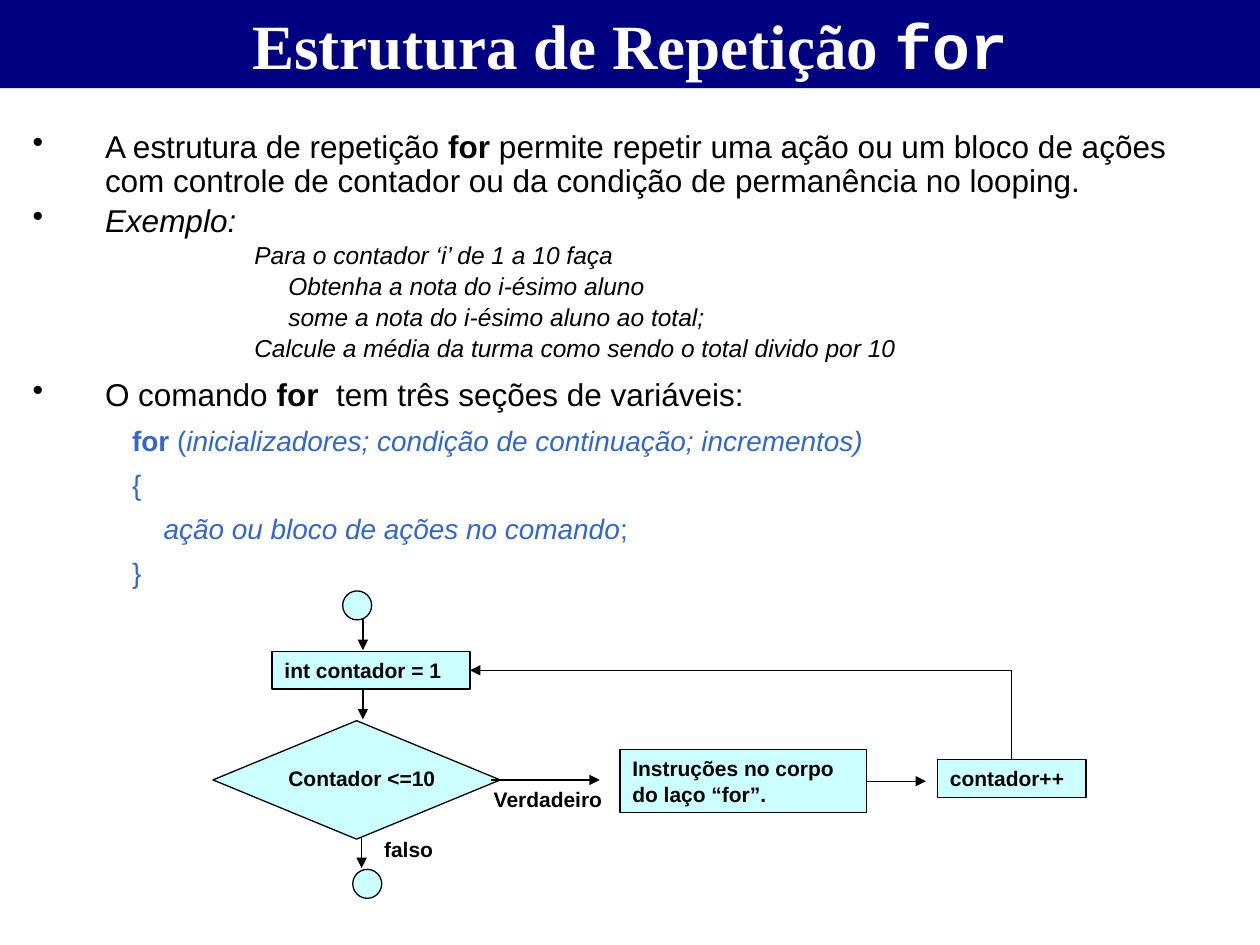
"""Build a slide on the for loop, with its syntax and a flow chart."""
from lxml.etree import SubElement
from pptx import Presentation
from pptx.dml.color import RGBColor
from pptx.enum.shapes import MSO_CONNECTOR, MSO_SHAPE
from pptx.enum.text import MSO_ANCHOR, PP_ALIGN
from pptx.oxml.ns import qn
from pptx.util import Inches, Pt

HUES = {"navy": "000080", "white": "FFFFFF", "black": "000000",
        "blue": "3366CC", "aqua": "CCFFFF"}


def write(para, text, size=12, face="Arial", hue="black", bold=False, slant=False):
    run = para.add_run()
    run.text = text
    font = run.font
    font.size, font.name, font.bold, font.italic = Pt(size), face, bold, slant
    font.color.rgb = RGBColor.from_string(HUES[hue])


def link(left, top, right, low, tip=True):
    line = slide.shapes.add_connector(
        MSO_CONNECTOR.STRAIGHT, Inches(left), Inches(top), Inches(right), Inches(low))
    line.line.width = Pt(0.75)
    line.line.color.rgb = RGBColor.from_string(HUES["black"])
    if tip:
        SubElement(line.get_or_add_ln(), qn("a:tailEnd"), type="triangle")
    SubElement(line.get_or_add_ln().getparent(), qn("a:effectLst"))
    return line


deck = Presentation()
deck.slide_width, deck.slide_height = Inches(10), Inches(7.5)
slide = deck.slides.add_slide(deck.slide_layouts[6])

band = slide.shapes.add_shape(MSO_SHAPE.RECTANGLE, 0, 0, Inches(10), Inches(0.7))
band.shadow.inherit = False
band.fill.solid()
band.fill.fore_color.rgb = RGBColor.from_string(HUES["navy"])
band.line.fill.background()
band.text_frame.vertical_anchor = MSO_ANCHOR.TOP
head = band.text_frame.paragraphs[0]
head.alignment = PP_ALIGN.CENTER
for text, face in [("Estrutura de Repetição ", "Times New Roman"), ("for", "Courier New")]:
    write(head, text, size=36, face=face, hue="white", bold=True)

kinds = {
    "point": {"size": 18},
    "step": {"size": 14, "slant": True},
    "code": {"size": 16, "hue": "blue"},
}
bold, slant = {"bold": True}, {"slant": True}
rows = [
    ("point", 0.575, 0, [
        ("A estrutura de repetição ", {}), ("for ", bold),
        ("permite repetir uma ação ou um bloco de ações com controle de contador "
         "ou da condição de permanência no looping.", {})]),
    ("point", 0.575, 3.4, [("Exemplo:", slant)]),
    ("step", 1.76, 2.6, [("Para o contador ‘i’ de 1 a 10 faça", {})]),
    ("step", 2.03, 2.6, [("Obtenha a nota do i-ésimo aluno", {})]),
    ("step", 2.03, 2.6, [("some a nota do i-ésimo aluno ao total;", {})]),
    ("step", 1.76, 2.6, [("Calcule a média da turma como sendo o total divido por 10", {})]),
    ("point", 0.575, 9, [
        ("O comando ", {}), ("for", bold), ("  tem três seções de variáveis:", {})]),
    ("code", 0.79, 8, [
        ("for", bold), (" (", {}),
        ("inicializadores; condição de continuação; incrementos)", slant)]),
    ("code", 0.79, 8, [("{", {})]),
    ("code", 1.04, 8, [("ação ou bloco de ações no comando", slant), (";", {})]),
    ("code", 0.79, 8, [("}", {})]),
]
frame = slide.shapes.add_textbox(
    Inches(0.16), Inches(0.99), Inches(9.48), Inches(3.86)).text_frame
frame.word_wrap = True
for rank, (kind, inset, gap, runs) in enumerate(rows):
    para = frame.paragraphs[0] if rank == 0 else frame.add_paragraph()
    para.line_spacing, para.space_before = 0.9, Pt(gap)
    props = para._p.get_or_add_pPr()
    props.set("marL", str(Inches(inset)))
    if kind == "point":
        props.set("indent", str(-Inches(inset)))
        SubElement(props, qn("a:buChar"), char="•")
    for text, style in runs:
        write(para, text, **{**kinds[kind], **style})

for ends in [(2.88, 4.77, 2.88, 5.16), (2.88, 5.47, 2.88, 5.71),
             (2.87, 6.51, 2.87, 6.89)]:
    link(*ends)

ring, box = MSO_SHAPE.FLOWCHART_CONNECTOR, MSO_SHAPE.RECTANGLE
nodes = {}
for name, form, left, top, width, height, lines in [
    ("start", ring, 2.72, 4.69, 0.23, 0.23, []),
    ("stop", ring, 2.8, 6.9, 0.23, 0.23, []),
    ("init", box, 2.16, 5.17, 1.57, 0.3, ["int contador = 1"]),
    ("test", MSO_SHAPE.FLOWCHART_DECISION, 1.69, 5.72, 2.28, 0.94, []),
    ("work", box, 4.92, 5.95, 1.96, 0.5, ["Instruções no corpo", "do laço “for”."]),
    ("count", box, 7.44, 6.03, 1.18, 0.3, ["contador++"]),
]:
    node = slide.shapes.add_shape(
        form, Inches(left), Inches(top), Inches(width), Inches(height))
    node.shadow.inherit = False
    node.fill.solid()
    node.fill.fore_color.rgb = RGBColor.from_string(HUES["aqua"])
    node.line.width = Pt(0.75)
    node.line.color.rgb = RGBColor.from_string(HUES["black"])
    nodes[name] = node
    if lines:
        node.text_frame.vertical_anchor = MSO_ANCHOR.TOP
        para = node.text_frame.paragraphs[0]
        para.alignment = PP_ALIGN.LEFT
    for rank, text in enumerate(lines):
        if rank:
            para.add_line_break()
        write(para, text, bold=True)

for text, left, top, width in [("Verdadeiro", 3.82, 6.19, 1.17),
                               ("falso", 2.95, 6.59, 0.62),
                               ("Contador <=10", 2.19, 6.03, 1.38)]:
    label = slide.shapes.add_textbox(Inches(left), Inches(top), Inches(width), Inches(0.3))
    label.text_frame.word_wrap = False
    write(label.text_frame.paragraphs[0], text, bold=True)

link(3.9, 6.19, 4.76, 6.19)
link(6.88, 6.2, 7.35, 6.2).begin_connect(nodes["work"], 3)
link(8.03, 5.32, 3.73, 5.32).end_connect(nodes["init"], 3)
link(8.03, 5.32, 8.03, 6.03, tip=False).end_connect(nodes["count"], 0)

deck.save("out.pptx")
